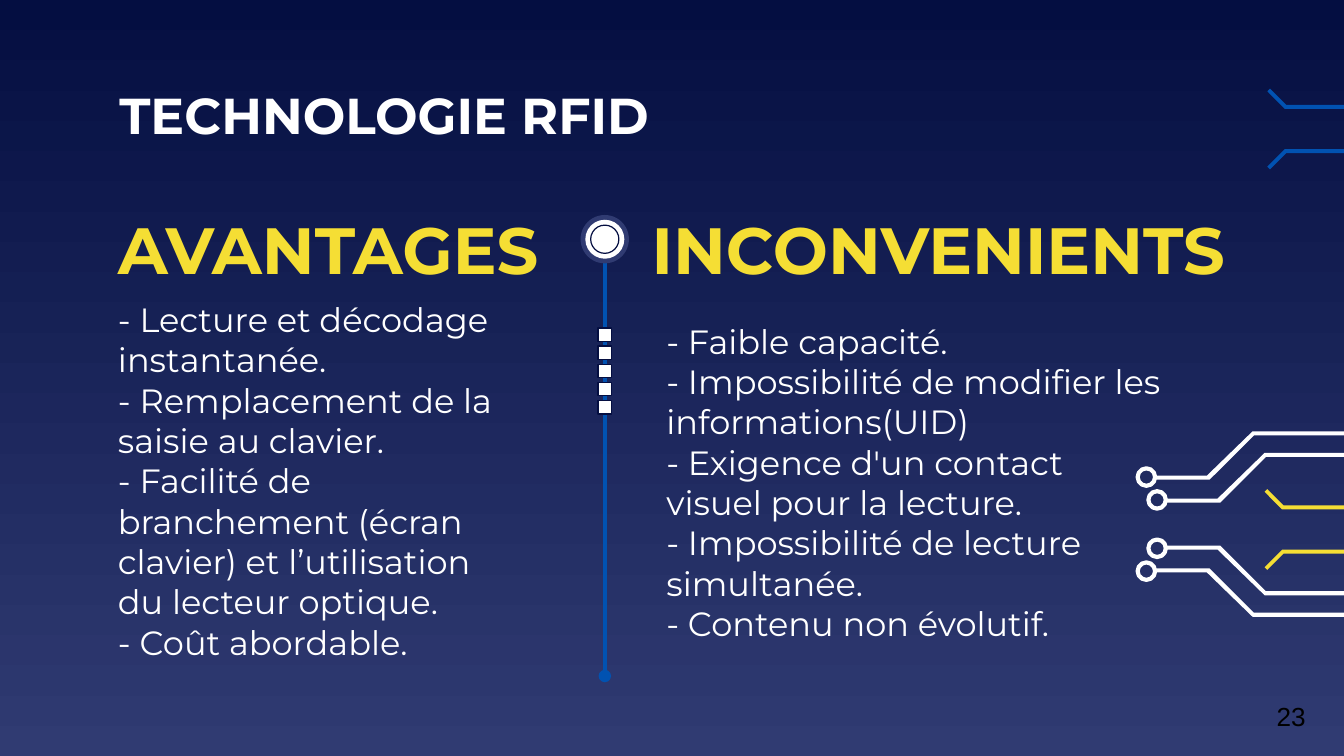
import pptx
import pptx.dml.color
import pptx.enum.shapes
import pptx.enum.text
import pptx.oxml
import pptx.oxml.ns
import pptx.util

Inches = pptx.util.Inches
Pt = pptx.util.Pt
RGBColor = pptx.dml.color.RGBColor
Shape = pptx.enum.shapes.MSO_SHAPE
Anchor = pptx.enum.text.MSO_ANCHOR

NAVY = RGBColor(0x04, 0x0E, 0x41)
SLATE = RGBColor(0x30, 0x3B, 0x72)
BLUE = RGBColor(0x01, 0x52, 0xB1)
GOLD = RGBColor(0xF5, 0xDE, 0x34)
WHITE = RGBColor(0xFF, 0xFF, 0xFF)
BLACK = RGBColor(0, 0, 0)

PROS = [
    "- Lecture et décodage instantanée.",
    "- Remplacement de la saisie au clavier.",
    "- Facilité de branchement (écran clavier) et l’utilisation du lecteur optique.",
    "- Coût abordable.",
]
CONS = [
    "- Faible capacité.",
    "- Impossibilité de modifier les informations(UID)",
    "- Exigence d'un contact visuel pour la lecture.",
    "- Impossibilité de lecture simultanée.",
    "- Contenu non évolutif.",
]


def paint(shape, fill=None, line=None, width=0.66):
    shape.shadow.inherit = False
    if fill is None:
        shape.fill.background()
    else:
        shape.fill.solid()
        shape.fill.fore_color.rgb = fill
    if line is None:
        shape.line.fill.background()
    else:
        shape.line.color.rgb = line
        shape.line.width = Pt(width)


def add_outline(slide, loops, fill, line=None):
    """Draw closed loops of (x, y) points, in inches, as one shape."""
    loops = [[(Inches(x), Inches(y)) for x, y in loop] for loop in loops]
    build = slide.shapes.build_freeform(*loops[0][0])
    for index, loop in enumerate(loops):
        if index:
            build.move_to(*loop[0])
        build.add_line_segments(loop[1:], close=True)
    paint(build.convert_to_shape(), fill, line)


def add_disc(slide, x, y, size, fill=None, line=None, width=0.66):
    disc = slide.shapes.add_shape(Shape.OVAL, Inches(x - size / 2), Inches(y - size / 2),
                                  Inches(size), Inches(size))
    paint(disc, fill, line, width)


def add_text(slide, box, lines, size, color, bold=False, font="Montserrat",
             anchor=Anchor.MIDDLE, base=0.1):
    frame = slide.shapes.add_textbox(*map(Inches, box)).text_frame
    frame.word_wrap = True
    frame.vertical_anchor = anchor
    frame.margin_left = frame.margin_right = frame.margin_top = Inches(0.1)
    frame.margin_bottom = Inches(base)
    for index, line in enumerate(lines):
        para = frame.add_paragraph() if index else frame.paragraphs[0]
        run = para.add_run()
        run.text = line
        run.font.name = font
        run.font.size = Pt(size)
        run.font.bold = bold
        run.font.color.rgb = color


def add_ticks(slide, left, mid, color):
    """Two bent strokes, mirrored about the height mid."""
    points = [(0.02, 0.3), (0, 0.28), (0.13, 0.15), (0.7, 0.15), (0.7, 0.18), (0.14, 0.18)]
    for side in (-1, 1):
        add_outline(slide, [[(left + x, mid + side * y) for x, y in points]], color)


def add_circuit(slide, mid):
    """Ringed tracks running off the right edge, mirrored about mid."""
    for left, drop, fall in ((8.66, 0.16, 0.34), (8.58, 0.33, 0.33)):
        bend = left + 0.42
        low = drop + fall
        points = [(left, drop), (bend, drop), (bend + fall, low), (10.2, low),
                  (10.2, low + 0.03), (bend + fall - 0.01, low + 0.03),
                  (bend - 0.02, drop + 0.03), (left, drop + 0.03)]
        for side in (-1, 1):
            add_outline(slide, [[(x, mid + side * y) for x, y in points]], WHITE)
            add_disc(slide, left - 0.05, mid + side * (drop + 0.02), 0.13,
                     line=WHITE, width=2.25)


def add_column(slide, head_box, head, body_box, lines, base=0.1):
    add_text(slide, body_box, lines, 18, WHITE, base=base)
    add_text(slide, head_box, [head], 35, GOLD, bold=True)


def add_divide(slide, x, top, end):
    """Upright line with a ringed knob and a row of squares."""
    line = slide.shapes.add_connector(pptx.enum.shapes.MSO_CONNECTOR.STRAIGHT,
                                      Inches(x), Inches(top), Inches(x), Inches(end))
    line.line.color.rgb = BLUE
    line.line.width = Pt(2.25)
    tail = pptx.oxml.parse_xml('<a:tailEnd %s type="oval"/>' % pptx.oxml.ns.nsdecls("a"))
    line.line._get_or_add_ln().append(tail)
    bare = pptx.oxml.parse_xml("<a:effectLst %s/>" % pptx.oxml.ns.nsdecls("a"))
    line._element.spPr.append(bare)

    # Knob
    knob = top - 0.03
    add_disc(slide, x, knob, 0.36, SLATE)
    add_disc(slide, x, knob, 0.29, WHITE)
    add_disc(slide, x, knob, 0.21, WHITE, NAVY)

    # Squares
    tops = [top + 0.63 + 0.54 * i / 4 for i in range(5)]
    loops = [[(x - 0.05, y), (x + 0.05, y), (x + 0.05, y + 0.1), (x - 0.05, y + 0.1)]
             for y in tops]
    add_outline(slide, loops, WHITE, NAVY)


def main():
    deck = pptx.Presentation()
    deck.slide_width = Inches(10)
    deck.slide_height = Inches(10 * 9 / 16)
    slide = deck.slides.add_slide(deck.slide_layouts[6])

    # Background
    fill = slide.background.fill
    fill.gradient()
    fill.gradient_angle = 270
    for stop, color, place in zip(fill.gradient_stops, (NAVY, SLATE), (0, 1)):
        stop.color.rgb = color
        stop.position = place

    # Circuit art
    add_circuit(slide, 3.9)
    add_ticks(slide, 9.41, 3.94, GOLD)
    add_ticks(slide, 9.43, 0.96, BLUE)

    # Columns and title
    add_column(slide, (0.78, 1.56, 3.47, 0.58), "AVANTAGES",
               (0.78, 2.14, 3.16, 3.17), PROS, base=0.4)
    add_column(slide, (4.75, 1.56, 4.79, 0.58), "INCONVENIENTS",
               (4.86, 2.14, 3.88, 2.89), CONS)
    add_text(slide, (0.79, 0.59, 5.87, 0.52), ["TECHNOLOGIE RFID"], 27, WHITE, bold=True)

    # Page number
    add_text(slide, (9.4, 5.11, 0.6, 0.43), ["23"], 14, BLACK, font="Arial",
             anchor=Anchor.TOP)

    add_divide(slide, 4.5, 1.81, 5.03)
    deck.save("out.pptx")


if __name__ == "__main__":
    main()
